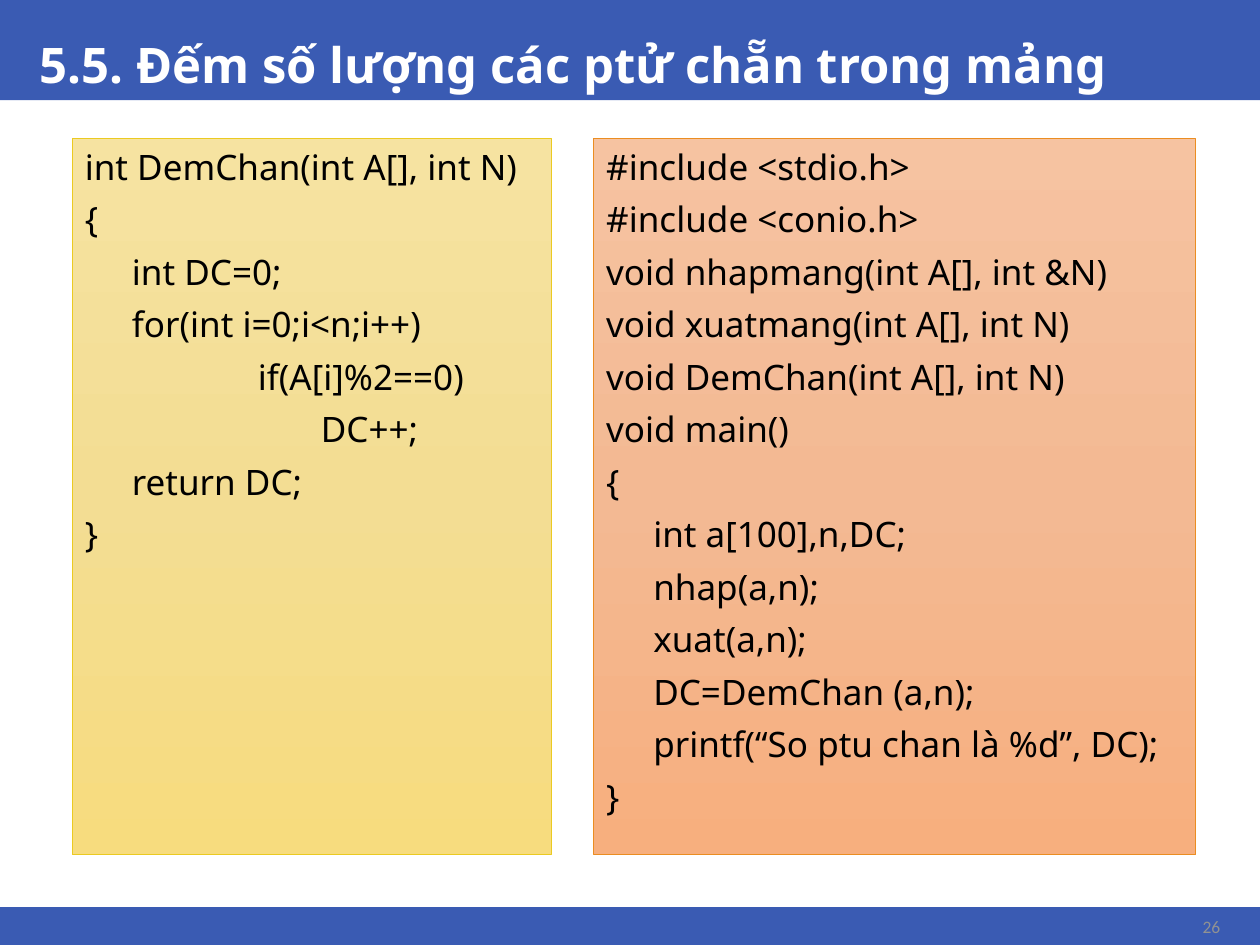
"""Build a slide with two code panels that count the even items of an array."""
import copy

import pptx
import pptx.dml.color
import pptx.enum.shapes
import pptx.enum.text
import pptx.oxml.ns
import pptx.util

Cm = pptx.util.Cm
Pt = pptx.util.Pt
Align = pptx.enum.text.PP_ALIGN
Anchor = pptx.enum.text.MSO_ANCHOR

TITLE = "5.5. Đếm số lượng các ptử chẵn trong mảng"
PAGE_NUMBER = "26"
COUNT_CODE = [
    (0, "int DemChan(int A[], int N)"),
    (0, "{"),
    (1, "int DC=0;"),
    (1, "for(int i=0;i<n;i++)"),
    (3, "if(A[i]%2==0)"),
    (4, "DC++;"),
    (1, "return DC;"),
    (0, "}"),
]
MAIN_CODE = [
    (0, "#include <stdio.h>"),
    (0, "#include <conio.h>"),
    (0, "void nhapmang(int A[], int &N)"),
    (0, "void xuatmang(int A[], int N)"),
    (0, "void DemChan(int A[], int N)"),
    (0, "void main()"),
    (0, "{"),
    (1, "int a[100],n,DC;"),
    (1, "nhap(a,n);"),
    (1, "xuat(a,n);"),
    (1, "DC=DemChan (a,n);"),
    (1, "printf(“So ptu chan là %d”, DC);"),
    (0, "}"),
]
THEME = {
    "band": "3A5BB3",
    "title": ("Noto Sans", 28, "FFFFFF", True),
    "code": ("Noto Sans", 20, "000000", False),
    "number": ("Calibri", 10, "919292", False),
    "yellow": (("F6E3A1", "F3DD93", "F7DC7E"), "EBCA21"),
    "orange": (("F6C3A1", "F3B993", "F7AF7E"), "EB8D21"),
}
PANELS = [
    (1.46, 9.65, "yellow", COUNT_CODE),
    (11.97, 12.14, "orange", MAIN_CODE),
]
WIDTH, HEIGHT = 25.4, 19.05
TITLE_HEIGHT, FOOTER_HEIGHT = 2.02, 0.76
PANEL_TOP, PANEL_HEIGHT = 2.8, 14.43
FIRST_INDENT, TAB_STEP = 0.95, 1.27


def rgb(value):
    return pptx.dml.color.RGBColor.from_string(value)


def add_span(para, text, style):
    span = para.add_run()
    span.text = text
    span.font.name, size, color, span.font.bold = THEME[style]
    span.font.size = Pt(size)
    span.font.color.rgb = rgb(color)


def add_rectangle(page, left, top, width, height):
    box = page.shapes.add_shape(
        pptx.enum.shapes.MSO_SHAPE.RECTANGLE, Cm(left), Cm(top), Cm(width), Cm(height)
    )
    box.shadow.inherit = False
    return box


def add_band(page, top, height):
    band = add_rectangle(page, 0, top, WIDTH, height)
    band.fill.solid()
    band.fill.fore_color.rgb = rgb(THEME["band"])
    band.line.fill.background()


def add_label(page, area, text, style, anchor, align, spacing):
    box = page.shapes.add_textbox(*map(Cm, area))
    box.text_frame.word_wrap = True
    box.text_frame.vertical_anchor = anchor
    para = box.text_frame.paragraphs[0]
    para.alignment = align
    para.line_spacing = spacing
    add_span(para, text, style)


def fill_gradient(box, colors):
    box.fill.gradient()
    box.fill.gradient_angle = 270
    stops = next(box._element.spPr.iter(pptx.oxml.ns.qn("a:gsLst")))
    stops.append(copy.deepcopy(stops[-1]))
    for index, (stop, color) in enumerate(zip(box.fill.gradient_stops, colors)):
        stop.position = index / (len(colors) - 1)
        stop.color.rgb = rgb(color)


def add_panel(page, left, width, palette, code):
    box = add_rectangle(page, left, PANEL_TOP, width, PANEL_HEIGHT)
    colors, outline = THEME[palette]
    fill_gradient(box, colors)
    box.line.color.rgb = rgb(outline)
    box.line.width = Pt(0.5)
    frame = box.text_frame
    frame.word_wrap = True
    frame.vertical_anchor = Anchor.TOP
    for index, (level, text) in enumerate(code):
        para = frame.add_paragraph() if index else frame.paragraphs[0]
        para.alignment = Align.LEFT
        para.space_before = Pt(6)
        indent = FIRST_INDENT + (level - 1) * TAB_STEP if level else 0
        para._p.get_or_add_pPr().set("marL", str(Cm(indent)))
        add_span(para, text, "code")


def main():
    deck = pptx.Presentation()
    deck.slide_width, deck.slide_height = Cm(WIDTH), Cm(HEIGHT)
    page = deck.slides.add_slide(deck.slide_layouts[6])
    add_band(page, 0, TITLE_HEIGHT)
    add_band(page, HEIGHT - FOOTER_HEIGHT, FOOTER_HEIGHT)
    title_area = (0.55, 0, WIDTH - 0.55, TITLE_HEIGHT)
    add_label(page, title_area, TITLE, "title", Anchor.BOTTOM, Align.LEFT, 0.9)
    number_area = (23.5, 18.35, 1.35, 0.66)
    add_label(page, number_area, PAGE_NUMBER, "number", Anchor.MIDDLE, Align.RIGHT, 1.0)
    for panel in PANELS:
        add_panel(page, *panel)
    deck.save("out.pptx")


if __name__ == "__main__":
    main()
